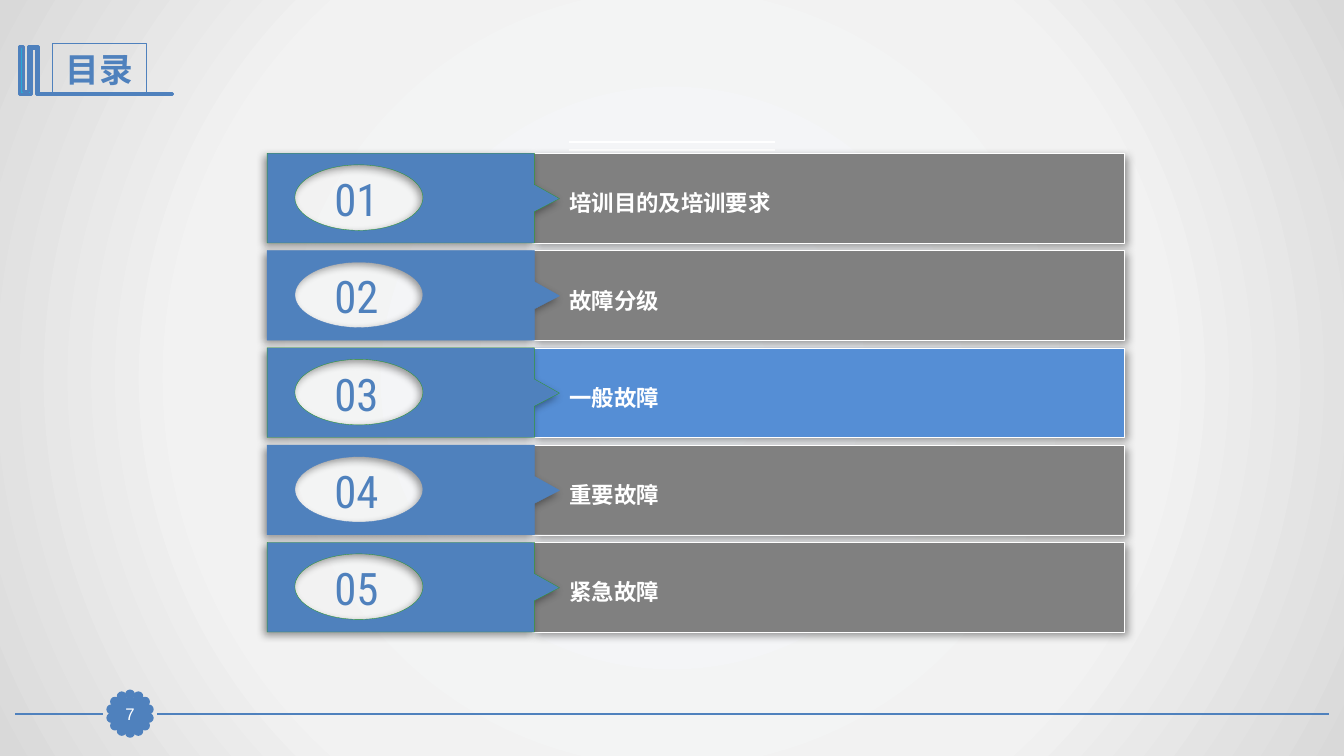
from math import cos, pi, sin

from pptx import Presentation
from pptx.dml.color import RGBColor
from pptx.enum.shapes import MSO_CONNECTOR as CONN, MSO_SHAPE as SHAPE
from pptx.enum.text import MSO_ANCHOR as ANCHOR, PP_ALIGN as ALIGN
from pptx.oxml import parse_xml
from pptx.oxml.ns import nsdecls, qn
from pptx.util import Inches, Pt

W, H = 13.33, 7.5
COLORS = {
    "blue": "4F81BD", "active": "558ED5", "gray": "808080", "white": "FFFFFF",
    "green": "339933", "cyan": "28A9D6", "black": "000000",
    "bg_inner": "F6F9FC", "bg_mid": "F2F2F2", "bg_outer": "D9D9D9",
}
NUMBER = {"size": Pt(32), "name": "Roboto Condensed"}
ITEM = {"size": Pt(16), "name": "Arial", "bold": True}
TITLE = {"size": Pt(24), "name": "Roboto Condensed", "bold": True}
PAGE = {"size": Pt(12), "name": "Arial"}

TOPICS = ["培训目的及培训要求", "故障分级", "一般故障", "重要故障", "紧急故障"]
ACTIVE = 3
ROWS = {"left": 2.65, "top": 1.52, "width": 8.5, "height": 0.89, "pitch": 0.965}


def rgb(name):
    return RGBColor.from_string(COLORS[name])


def paint(s, fill, line, width):
    s.shadow.inherit = False
    s.fill.solid()
    s.fill.fore_color.rgb = rgb(fill)
    s.line.color.rgb = rgb(line)
    s.line.width = Pt(width)


def cast_shadow(s, angle):
    effects = s.element.spPr.find(qn("a:effectLst"))
    effects.append(parse_xml(
        f'<a:outerShdw {nsdecls("a")} blurRad="{Pt(6)}" dist="{Pt(3)}" '
        f'dir="{angle * 60000}" algn="ctr" rotWithShape="0">'
        f'<a:srgbClr val="{COLORS["black"]}"><a:alpha val="40000"/></a:srgbClr>'
        '</a:outerShdw>'))


def write(s, text, font, color, align=ALIGN.LEFT, anchor=ANCHOR.TOP, inset=None):
    tf = s.text_frame
    tf.word_wrap = True
    tf.vertical_anchor = anchor
    if inset is not None:
        for side in ("left", "top", "right", "bottom"):
            setattr(tf, f"margin_{side}", Inches(inset))
    p = tf.paragraphs[0]
    p.alignment = align
    r = p.add_run()
    r.text = text
    for key, value in font.items():
        setattr(r.font, key, value)
    r.font.color.rgb = rgb(color)


def add_box(shapes, kind, x, y, w, h):
    return shapes.add_shape(kind, *map(Inches, (x, y, w, h)))


def add_text(shapes, x, y, w, h, *content, **layout):
    write(shapes.add_textbox(*map(Inches, (x, y, w, h))), *content, **layout)


def add_rule(shapes, x1, x2, y, color, width):
    c = shapes.add_connector(CONN.STRAIGHT, *map(Inches, (x1, y, x2, y)))
    c.line.color.rgb = rgb(color)
    c.line.width = Pt(width)
    c.element.spPr.append(parse_xml(f'<a:effectLst {nsdecls("a")}/>'))


def add_outline(shapes, x, y, *contours):
    """Closed contours, in inches from (x, y), as one freeform."""
    placed = [[(Inches(x + dx), Inches(y + dy)) for dx, dy in c] for c in contours]
    builder = shapes.build_freeform(*placed[0][0], scale=1.0)
    for i, points in enumerate(placed):
        if i:
            builder.move_to(*points[0])
        builder.add_line_segments(points[1:], close=True)
    return builder.convert_to_shape()


def oval(cx, cy, rx, ry):
    """Start point and the control points of four Bézier quarters."""
    k = 0.55
    unit = [(0, -1), (-k, -1), (-1, -k), (-1, 0), (-1, k), (-k, 1), (0, 1),
            (k, 1), (1, k), (1, 0), (1, -k), (k, -1), (0, -1)]
    return [(cx + rx * u, cy + ry * v) for u, v in unit]


def curve_first_contour(s):
    """Turn the twelve lines of the leading oval into four curves."""
    lines = s.element.spPr.findall(".//" + qn("a:lnTo"))[:12]
    for i in range(0, 12, 3):
        curve = parse_xml(f'<a:cubicBezTo {nsdecls("a")}/>')
        lines[i].addprevious(curve)
        for line in lines[i:i + 3]:
            curve.append(line[0])
            line.getparent().remove(line)


def set_background(slide):
    slide.background.fill.solid()
    bg = slide.element.find(".//" + qn("p:bgPr"))
    stops = "".join(
        f'<a:gs pos="{pos * 1000}"><a:srgbClr val="{COLORS[name]}"/></a:gs>'
        for pos, name in ((0, "bg_inner"), (63, "bg_mid"), (100, "bg_outer")))
    bg.replace(bg[0], parse_xml(
        f'<a:gradFill {nsdecls("a")} rotWithShape="1"><a:gsLst>{stops}</a:gsLst>'
        '<a:path path="circle"><a:fillToRect l="50000" t="50000" r="50000" '
        'b="50000"/></a:path></a:gradFill>'))


def add_header(slide, x, y, w, h):
    """Book-shaped mark with a base rule, and the framed title."""
    base = h - 0.01
    mark = add_outline(slide.shapes, x, y, [
        (0.18, 0), (0.19, 0), (0.19, base), (w, base), (w, h), (0.18, h),
        (0.17, h), (0.17, 0.02), (0.12, 0.02), (0.12, h), (0, h), (0, 0),
        (0.04, 0), (0.04, h - 0.03), (0.09, h - 0.03), (0.09, 0)])
    paint(mark, "cyan", "blue", 2)
    title = slide.shapes.title
    title.left, title.top, title.width, title.height = map(
        Inches, (x + 0.33, y - 0.03, 0.93, 0.51))
    title.line.color.rgb = rgb("blue")
    title.line.width = Pt(0.75)
    write(title, "目录", TITLE, "blue", ALIGN.CENTER, ANCHOR.MIDDLE)


def add_footer(slide, x, y, w):
    """Rule broken by a scalloped badge that holds the page number."""
    cx, petal, radius, count = x + 1.14, 0.07, 0.19, 14
    add_rule(slide.shapes, x + 1.41, x + w, y, "blue", 1.25)
    add_rule(slide.shapes, x, x + 0.87, y, "blue", 1.25)
    badge = slide.shapes.add_group_shape().shapes
    for i in range(count):
        angle = 2 * pi * i / count
        s = add_box(badge, SHAPE.OVAL, cx + radius * sin(angle) - petal / 2,
                    y - radius * cos(angle) - petal / 2, petal, petal)
        paint(s, "blue", "blue", 2)
    s = add_box(slide.shapes, SHAPE.RECTANGLE, cx - 0.16, y - 0.15, 0.32, 0.31)
    paint(s, "blue", "blue", 0.75)
    write(s, "7", PAGE, "white", ALIGN.CENTER, ANCHOR.MIDDLE, inset=0)


def add_topic(slide, number, topic, x, y, w, h):
    shapes = slide.shapes.add_group_shape().shapes
    edge, tip = 2.65, 2.9
    bar = add_box(shapes, SHAPE.RECTANGLE, x + edge - 0.02, y, w - edge + 0.02, h)
    paint(bar, "active" if number == ACTIVE else "gray", "white", 0.25)
    cast_shadow(bar, 45)

    tag = add_outline(
        shapes, x, y,
        oval(0.91, 0.44, 0.635, 0.325),
        [(0, 0), (edge, 0), (edge, 0.31), (tip, 0.45), (edge, 0.58), (edge, h), (0, h)])
    curve_first_contour(tag)
    paint(tag, "blue", "green" if number % 2 else "blue", 0.25)
    cast_shadow(tag, 135)

    add_text(shapes, x + 0.38, y + 0.13, 1.01, 0.64, f"{number:02}", NUMBER, "blue",
             align=ALIGN.CENTER, anchor=ANCHOR.MIDDLE)
    add_text(shapes, x + tip, y + 0.31, w - tip, 0.37, topic, ITEM, "white")


def add_agenda(slide, left, top, width, height, pitch):
    for gap in (0.11, 0.03):
        add_rule(slide.shapes, left + 2.99, left + 5.04, top - gap, "white", 1.5)
    for i, topic in enumerate(TOPICS):
        add_topic(slide, i + 1, topic, left, top + i * pitch, width, height)


def main():
    prs = Presentation()
    prs.slide_width, prs.slide_height = Inches(W), Inches(H)
    slide = prs.slides.add_slide(prs.slide_layouts.get_by_name("Title Only"))
    set_background(slide)
    add_footer(slide, 0.15, 7.08, W - 0.3)
    add_header(slide, 0.19, 0.46, 1.52, 0.48)
    add_agenda(slide, **ROWS)
    prs.save("out.pptx")


if __name__ == "__main__":
    main()
